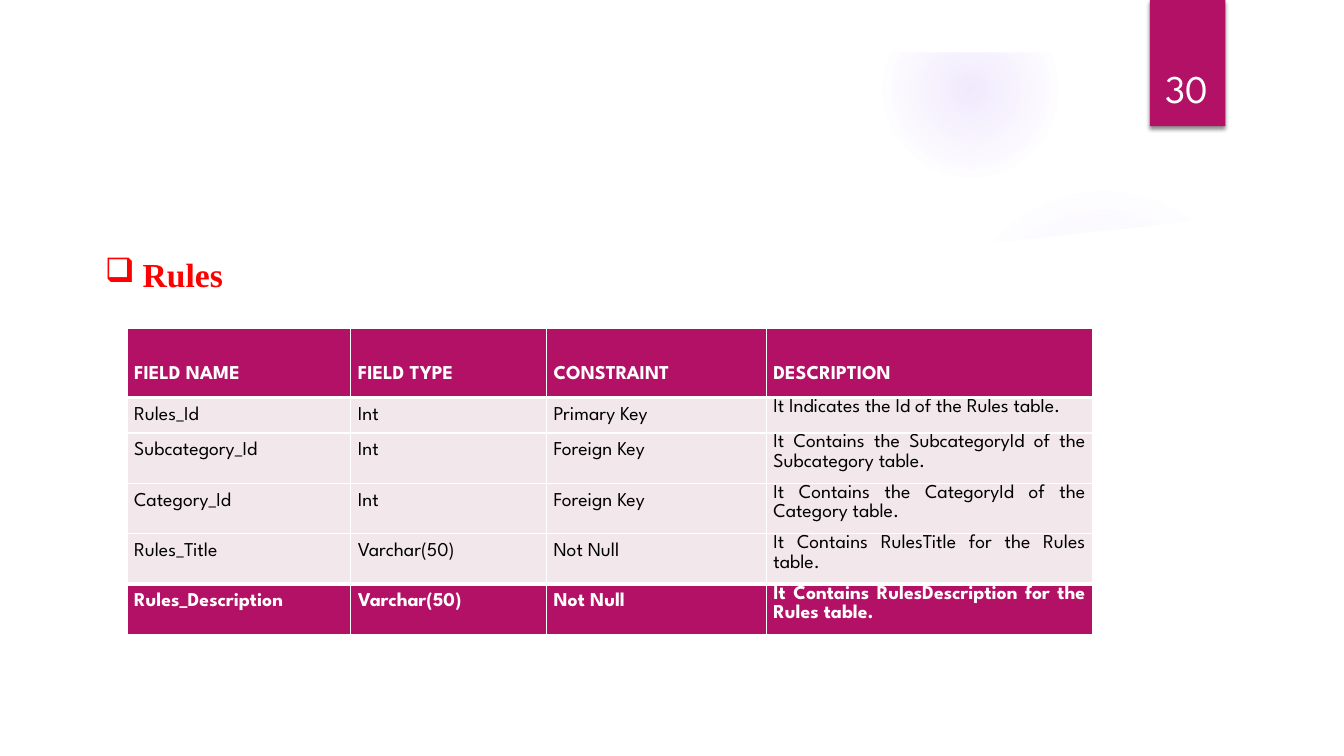
from lxml import etree
from pptx import Presentation
from pptx.dml.color import RGBColor
from pptx.enum.shapes import MSO_SHAPE
from pptx.enum.text import MSO_ANCHOR, MSO_AUTO_SIZE, PP_ALIGN
from pptx.oxml import parse_xml
from pptx.oxml.ns import nsdecls, qn
from pptx.util import Cm, Pt

FONT = "League Spartan"
MAGENTA, PINK, WHITE, BLACK, RED = "B31166", "F2E7EA", "FFFFFF", "000000", "FF0000"
NS = nsdecls("a")


def paint(fill, color):
    fill.solid()
    fill.fore_color.rgb = RGBColor.from_string(color)


def write(p, text, size=14, color=BLACK, bold=False, font=FONT,
          align=PP_ALIGN.JUSTIFY, spacing=None, after=None):
    p.alignment = align
    if spacing:
        p.line_spacing = spacing
    if after:
        p.space_after = Pt(after)
    r = p.add_run()
    r.text = text
    r.font.size, r.font.name, r.font.bold = Pt(size), font, bold
    paint(r.font.fill, color)


prs = Presentation()
prs.slide_width, prs.slide_height = Cm(33.87), Cm(19.05)
s = prs.slides.add_slide(prs.slide_layouts[5])

# Soft violet glows: left, top, diameter, (position, opacity) stops in percent
glows = [
    (23.9, 4.65, 7.82, [(0, 7), (36, 6), (69, 0)]),
    (22.23, 0.03, 4.45, [(0, 14), (36, 7), (73, 0)]),
]
for left, top, size, stops in glows:
    sp = s.shapes.add_shape(MSO_SHAPE.OVAL, Cm(left), Cm(top), Cm(size), Cm(size))
    sp.shadow.inherit = False
    sp.line.fill.background()
    stop_xml = "".join(
        f'<a:gs pos="{pos * 1000}"><a:srgbClr val="9B6BF2">'
        f'<a:alpha val="{alpha * 1000}"/></a:srgbClr></a:gs>' for pos, alpha in stops)
    sp.element.spPr.find(qn("a:prstGeom")).addnext(parse_xml(
        f'<a:gradFill {NS}><a:gsLst>{stop_xml}</a:gsLst><a:path path="circle">'
        '<a:fillToRect l="50000" t="50000" r="50000" b="50000"/></a:path></a:gradFill>'))

# White sheets over the glows: opacity in percent, outlines
sheen = [(23.72, 6.35), (28.5, 5.95), (32.74, 5.44), (32.59, 4.22),
         (29.9, 5.01), (27.3, 5.61), (23.62, 6.17)]
panel = [(1.27, 17.78), (1.27, 5.18), (2.39, 5.33), (4.04, 5.54), (7.19, 5.84),
         (11.28, 6.12), (17.98, 6.3), (22.02, 6.22), (25.5, 6.07), (29.06, 5.69),
         (32.61, 5.18), (32.61, 17.78)]
frame_outer = [(0, 0), (0, 19.05), (33.87, 19.05), (33.87, 0)]
frame_inner = [(32.54, 17.73), (1.32, 17.73), (1.32, 1.32), (32.54, 1.32)]
for opacity, outlines in [(20, [sheen]), (100, [panel]), (100, [frame_outer, frame_inner])]:
    points = [[(Cm(x), Cm(y)) for x, y in outline] for outline in outlines]
    builder = s.shapes.build_freeform(*points[0][0])
    builder.add_line_segments(points[0][1:], close=True)
    for hole in points[1:]:
        builder.move_to(*hole[0])
        builder.add_line_segments(hole[1:], close=True)
    sp = builder.convert_to_shape()
    sp.shadow.inherit = False
    sp.line.fill.background()
    paint(sp.fill, WHITE)
    if opacity < 100:
        color = sp.element.spPr.find(qn("a:solidFill")).find(qn("a:srgbClr"))
        etree.SubElement(color, qn("a:alpha")).set("val", str(opacity * 1000))

# Page number tab
tab = s.shapes.add_shape(MSO_SHAPE.RECTANGLE, Cm(28.98), 0, Cm(1.9), Cm(3.18))
tab.line.fill.background()
paint(tab.fill, MAGENTA)
tab.element.spPr.append(parse_xml(
    f'<a:effectLst {NS}><a:outerShdw blurRad="38100" dist="25400" dir="5400000">'
    '<a:srgbClr val="000000"><a:alpha val="45000"/></a:srgbClr></a:outerShdw></a:effectLst>'))
number = s.shapes.add_textbox(Cm(28.75), Cm(0.81), Cm(2.34), Cm(2.13))
tf = number.text_frame
tf.word_wrap = True
tf.vertical_anchor = MSO_ANCHOR.BOTTOM
write(tf.paragraphs[0], "30", size=28, color=WHITE, align=PP_ALIGN.CENTER)

# Title, raised above the white sheets
title = s.shapes.title
title.left, title.top, title.width, title.height = Cm(2.39), Cm(6.27), Cm(3.71), Cm(1.27)
number.element.addnext(title.element)
tf = title.text_frame
tf.word_wrap = True
tf.auto_size = MSO_AUTO_SIZE.SHAPE_TO_FIT_TEXT
tf.vertical_anchor = MSO_ANCHOR.TOP
p = tf.paragraphs[0]
pPr = p._p.get_or_add_pPr()
pPr.set("marL", str(Cm(0.95)))
pPr.set("indent", str(-Cm(0.95)))
etree.SubElement(pPr, qn("a:buChar")).set("char", "❑")
write(p, "Rules", size=24, color=RED, bold=True, font="Times New Roman", align=PP_ALIGN.LEFT)

# Field table
rows = [
    ("FIELD NAME", "FIELD TYPE", "CONSTRAINT", "DESCRIPTION"),
    ("Rules_Id", "Int", "Primary Key", "It Indicates the Id of the Rules table."),
    ("Subcategory_Id", "Int", "Foreign Key",
     "It Contains the SubcategoryId of the Subcategory table."),
    ("Category_Id", "Int", "Foreign Key", "It Contains the CategoryId of the Category table."),
    ("Rules_Title", "Varchar(50)", "Not Null", "It Contains RulesTitle for the Rules table."),
    ("Rules_Description", "Varchar(50)", "Not Null",
     "It Contains RulesDescription for the Rules table."),
]
widths = [5.64, 4.93, 5.54, 8.23]
heights = [1.75, 0.89] + [1.27] * 4
last = len(rows) - 1
table = s.shapes.add_table(len(rows), len(widths), Cm(3.2), Cm(8.27),
                           Cm(sum(widths)), Cm(sum(heights))).table
for column, width in zip(table.columns, widths):
    column.width = Cm(width)
for i, (row, height) in enumerate(zip(rows, heights)):
    table.rows[i].height = Cm(height)
    strong = i in (0, last)
    for j, text in enumerate(row):
        cell = table.cell(i, j)
        cell.margin_left = cell.margin_right = Cm(0.18)
        cell.margin_top, cell.margin_bottom = Cm(0.71 if i == 0 else 0), 0
        paint(cell.fill, MAGENTA if strong else PINK)
        borders = {"L": 1, "R": 1, "T": 3 if i in (1, last) else 1,
                   "B": 3 if i in (0, last - 1) else 1}
        for k, (side, weight) in enumerate(borders.items()):
            cell._tc.get_or_add_tcPr().insert(k, parse_xml(
                f'<a:ln{side} {NS} w="{Pt(weight)}"><a:solidFill>'
                f'<a:srgbClr val="{WHITE}"/></a:solidFill></a:ln{side}>'))
        description = i > 0 and j == 3
        write(cell.text_frame.paragraphs[0], text, bold=strong,
              color=WHITE if strong else BLACK,
              spacing=1.07 if description else 1.5, after=8 if description else None)

prs.save("out.pptx")
